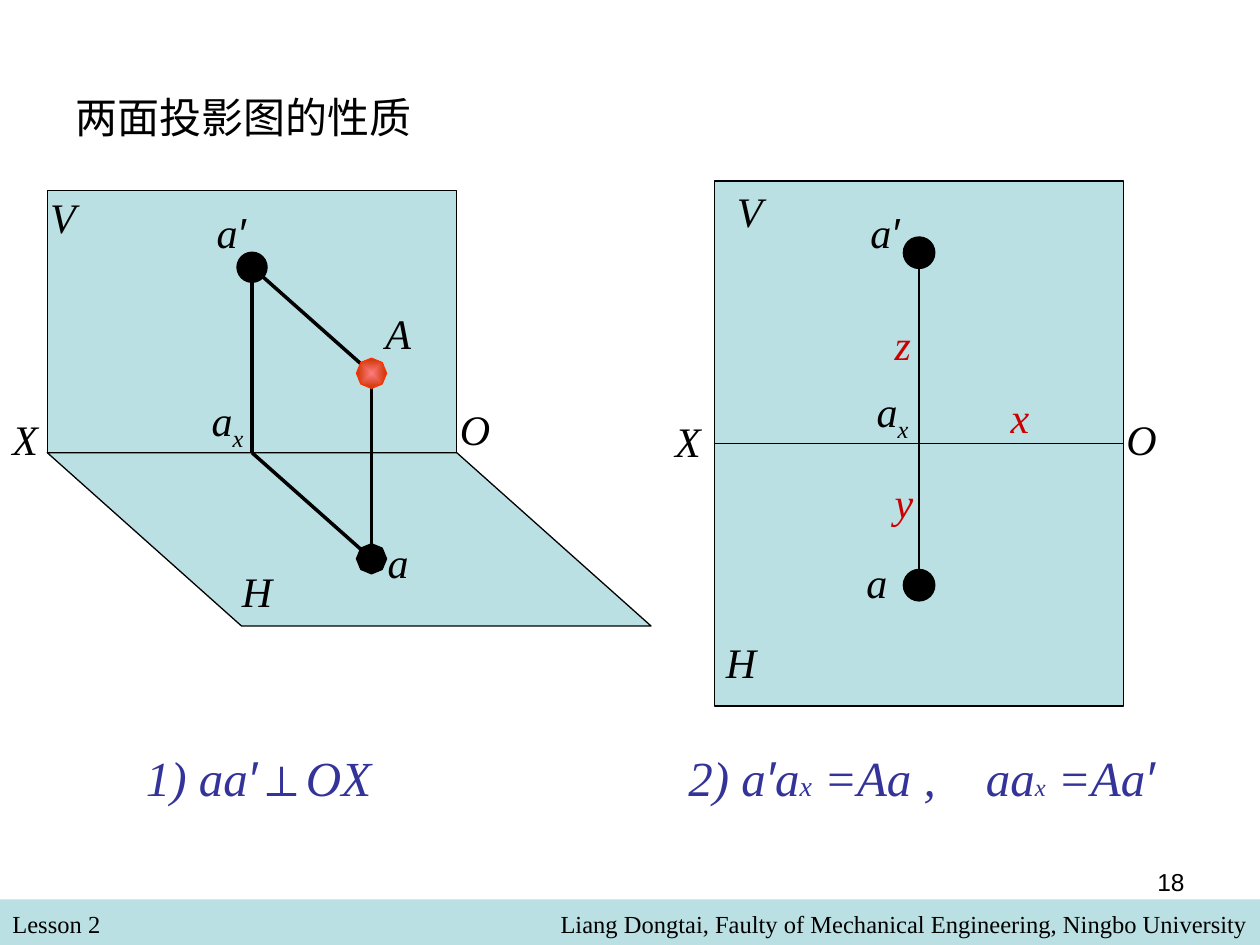
from math import cos, pi, sin

from lxml import etree
from pptx import Presentation
from pptx.dml.color import RGBColor
from pptx.enum.shapes import MSO_CONNECTOR, MSO_SHAPE
from pptx.enum.text import MSO_ANCHOR, PP_ALIGN
from pptx.oxml.ns import qn
from pptx.util import Pt

STRAIGHT = MSO_CONNECTOR.STRAIGHT
RECTANGLE, OVAL = MSO_SHAPE.RECTANGLE, MSO_SHAPE.OVAL
LEFT, CENTER, RIGHT = PP_ALIGN.LEFT, PP_ALIGN.CENTER, PP_ALIGN.RIGHT
MIDDLE, TOP = MSO_ANCHOR.MIDDLE, MSO_ANCHOR.TOP
BOTTOM_SIDE = 2

SERIF, SANS, CHINESE = "Times New Roman", "Arial", "Noto Sans CJK SC"
BLACK, PLANE, RED, BLUE = "000000", "BBE0E3", "CC0000", "333399"

TITLE = "两面投影图的性质"
FOOTER_LEFT = "Lesson 2"
FOOTER_RIGHT = "Liang Dongtai, Faulty of Mechanical Engineering, Ningbo University"
PAGE_NUMBER = "18"

# text, size, font, italic
FORMULA = [
    ("1) aa", 28, SERIF, True), ("′", 28, SANS, True), ("⊥", 28, SANS, False),
    ("OX\t2) a", 28, SERIF, True), ("′", 28, SANS, True),
    ("a", 28, SERIF, True), ("x", 16, SERIF, True),
    (" =Aa ,\taa", 28, SERIF, True), ("x", 14, SERIF, True),
    (" =Aa", 28, SERIF, True), ("′", 28, SANS, True),
]
FORMULA_TABS = [310, 480]

# text, centre x, centre y, colour
LABELS = [
    ("H", 146.9, 337.7, BLACK), ("V", 36, 123.8, BLACK),
    ("O", 271.4, 244.8, BLACK), ("X", 14.4, 250.6, BLACK),
    ("a′", 132, 132.5, BLACK), ("a", 227.5, 321.1, BLACK),
    ("A", 227.5, 190.1, BLACK), ("ax", 130, 241.9, BLACK),
    ("X", 393.1, 252, BLACK), ("H", 423.4, 378, BLACK),
    ("V", 428.4, 120.2, BLACK), ("O", 652.3, 250.6, BLACK),
    ("a′", 505.7, 132.5, BLACK), ("a", 501.1, 332.6, BLACK),
    ("ax", 510.1, 236.9, BLACK), ("x", 582.8, 238.3, RED),
    ("z", 515.9, 196.6, RED), ("y", 516.6, 286.6, RED),
]

PLANE_WIDTH, PLANE_HEIGHT = 234, 150
SPACE_LEFT, SPACE_TOP = 27, 108.7
FLAT_LEFT, FLAT_TOP = 408.2, 103.5
SHEAR = (111, 99)
DEPTH = (68.3, 60.6)
PROJECTION_HEIGHT = 106


def rgb(value):
    return RGBColor.from_string(value)


def paint(shape, fill, line_width, line=BLACK):
    shape.shadow.inherit = False
    shape.fill.solid()
    shape.fill.fore_color.rgb = rgb(fill)
    shape.line.color.rgb = rgb(line)
    shape.line.width = Pt(line_width)
    return shape


def add_preset(kind, left, top, width, height, fill, line_width):
    shape = slide.shapes.add_shape(kind, Pt(left), Pt(top), Pt(width), Pt(height))
    return paint(shape, fill, line_width)


def add_dot(center, diameter, line_width):
    left, top = (value - diameter / 2 for value in center)
    return add_preset(OVAL, left, top, diameter, diameter, BLACK, line_width)


def add_polygon(points, fill, line=BLACK):
    scaled = [(Pt(x), Pt(y)) for x, y in points]
    builder = slide.shapes.build_freeform(*scaled[0])
    builder.add_line_segments(scaled[1:], close=True)
    return paint(builder.convert_to_shape(), fill, 0, line)


def add_octagon(center, radius, fill, line=BLACK):
    angles = [step * pi / 4 for step in range(8)]
    points = [(center[0] + radius * cos(a), center[1] + radius * sin(a)) for a in angles]
    return add_polygon(points, fill, line)


def add_line(start, end, width=0):
    line = slide.shapes.add_connector(STRAIGHT, *(Pt(v) for v in (*start, *end)))
    line.line.color.rgb = rgb(BLACK)
    line.line.width = Pt(width)
    etree.SubElement(line._element.spPr, qn("a:effectLst"))
    return line


def add_run(paragraph, text, size, font, color=BLACK, italic=False):
    run = paragraph.add_run()
    run.text = text
    run.font.size = Pt(size)
    run.font.name = font
    run.font.italic = italic
    run.font.color.rgb = rgb(color)
    return run


def add_text(left, top, width, height, align=LEFT, anchor=TOP, wrap=True):
    """Add an empty text box and return its first paragraph."""
    box = slide.shapes.add_textbox(Pt(left), Pt(top), Pt(width), Pt(height))
    box.text_frame.word_wrap = wrap
    box.text_frame.vertical_anchor = anchor
    paragraph = box.text_frame.paragraphs[0]
    paragraph.alignment = align
    return paragraph


def add_label(text, x, y, color):
    paragraph = add_text(x - 18, y - 18, 36, 36, CENTER, MIDDLE, wrap=False)
    add_run(paragraph, text[0], 24, SERIF, color, True)
    if text[1:] == "′":
        add_run(paragraph, "′", 24, SANS, color, True)
    elif text[1:]:
        subscript = add_run(paragraph, text[1:], 24, SERIF, color, True)
        subscript._r.get_or_add_rPr().set("baseline", "-25000")


def add_tabs(paragraph, positions):
    tabs = etree.SubElement(paragraph._p.get_or_add_pPr(), qn("a:tabLst"))
    for position in positions:
        etree.SubElement(tabs, qn("a:tab"), pos=str(Pt(position)), algn="l")


def make_radial(shape, inner, outer):
    shape.fill.gradient()
    for stop, color in zip(shape.fill.gradient_stops, (inner, outer)):
        stop.color.rgb = rgb(color)
    gradient = shape._element.spPr.find(qn("a:gradFill"))
    gradient.remove(gradient.find(qn("a:lin")))
    shading = etree.SubElement(gradient, qn("a:path"), path="rect")
    etree.SubElement(shading, qn("a:fillToRect"), l="50000", t="50000", r="50000", b="50000")


presentation = Presentation()
presentation.slide_width, presentation.slide_height = Pt(720), Pt(540)
slide = presentation.slides.add_slide(presentation.slide_layouts[5])

# Footer
footer = add_preset(RECTANGLE, 0, 513.9, 720, 26.1, PLANE, 0)
footer.line.fill.background()
add_run(add_text(0, 516.2, 348, 24.5), FOOTER_LEFT, 14, SERIF)
add_run(add_text(132, 516.2, 588, 24.5, RIGHT), FOOTER_RIGHT, 14, SERIF)
add_run(add_text(516, 491.8, 168, 37.4, RIGHT), PAGE_NUMBER, 14, SANS)

# Title and formulas
title = slide.shapes.title
title.left, title.top, title.width, title.height = Pt(36), Pt(21.6), Pt(648), Pt(90)
title.text_frame.vertical_anchor = MIDDLE
title_paragraph = title.text_frame.paragraphs[0]
title_paragraph.alignment = LEFT
title_run = add_run(title_paragraph, TITLE, 24, CHINESE)
etree.SubElement(title_run._r.get_or_add_rPr(), qn("a:ea"), typeface=CHINESE)

formula = add_text(76.3, 423.4, 610, 41, anchor=MIDDLE)
add_tabs(formula, FORMULA_TABS)
for text, size, font, italic in FORMULA:
    add_run(formula, text, size, font, BLUE, italic)

# Spatial view
axis_y = SPACE_TOP + PLANE_HEIGHT
axis_right = SPACE_LEFT + PLANE_WIDTH
foot = (SPACE_LEFT + PLANE_WIDTH / 2, axis_y)
front = (foot[0], axis_y - PROJECTION_HEIGHT)
point = (front[0] + DEPTH[0], front[1] + DEPTH[1])
ground = (foot[0] + DEPTH[0], foot[1] + DEPTH[1])

vertical_plane = add_preset(
    RECTANGLE, SPACE_LEFT, SPACE_TOP, PLANE_WIDTH, PLANE_HEIGHT, PLANE, 0)
add_polygon([
    (SPACE_LEFT, axis_y), (SPACE_LEFT + SHEAR[0], axis_y + SHEAR[1]),
    (axis_right + SHEAR[0], axis_y + SHEAR[1]), (axis_right, axis_y),
], PLANE)
for end in (front, ground):
    add_line(foot, end).begin_connect(vertical_plane, BOTTOM_SIDE)
for start in (front, ground):
    add_line(start, point)
add_dot(front, 17.2, 0)
make_radial(add_octagon(point, 8.6, RED, "FF3300"), "FF7C80", "CC3300")
add_octagon(ground, 8.6, BLACK)

# Unfolded view
for row in (1, 0):
    add_preset(RECTANGLE, FLAT_LEFT, FLAT_TOP + row * PLANE_HEIGHT,
               PLANE_WIDTH, PLANE_HEIGHT, PLANE, 0.75)
flat_x = FLAT_LEFT + PLANE_WIDTH / 2
flat_points = [(flat_x, 144.4), (flat_x, 334.4)]
add_line(*flat_points, width=1.5)
for center in flat_points:
    add_dot(center, 18, 0.75)

for label in LABELS:
    add_label(*label)

presentation.save("out.pptx")
